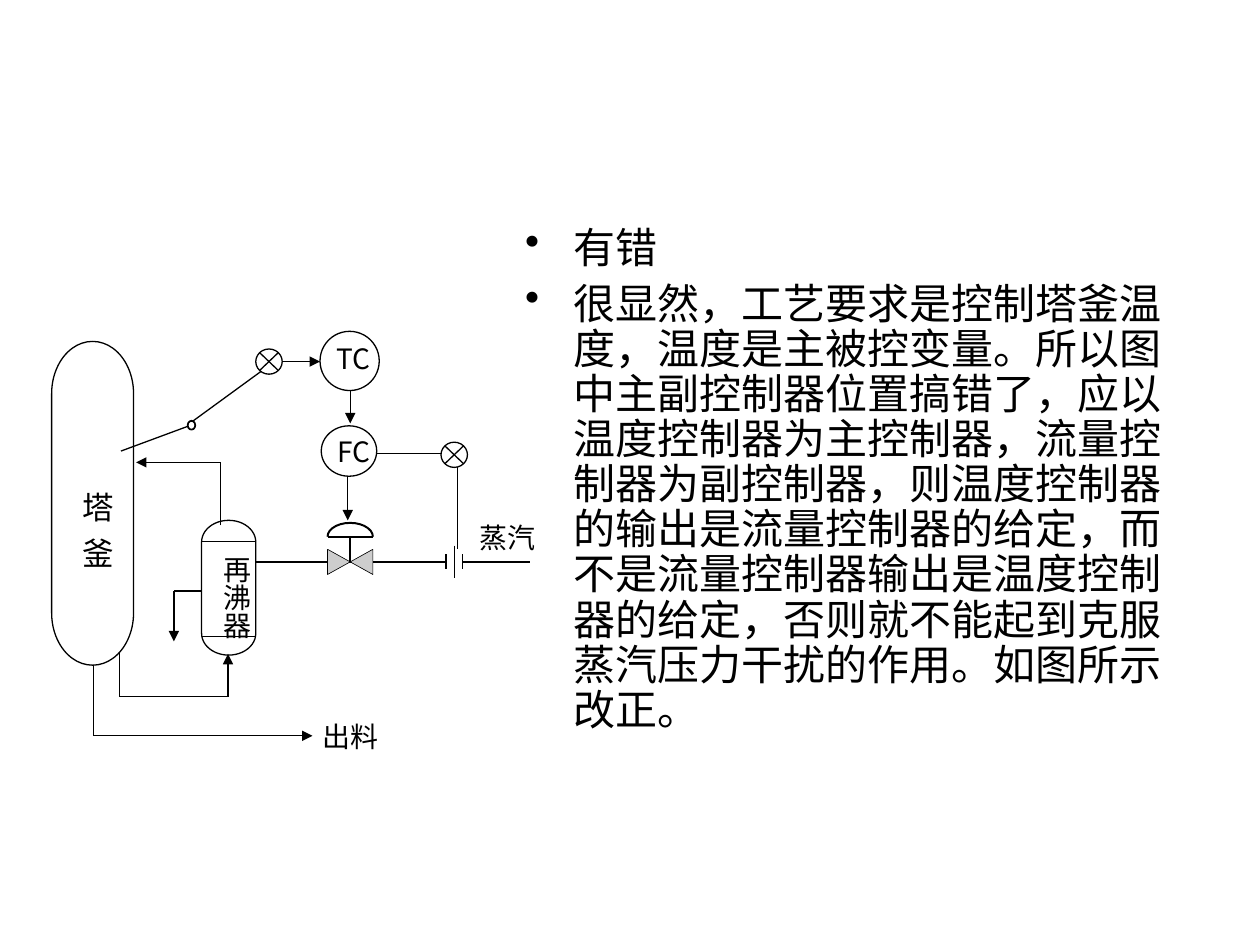
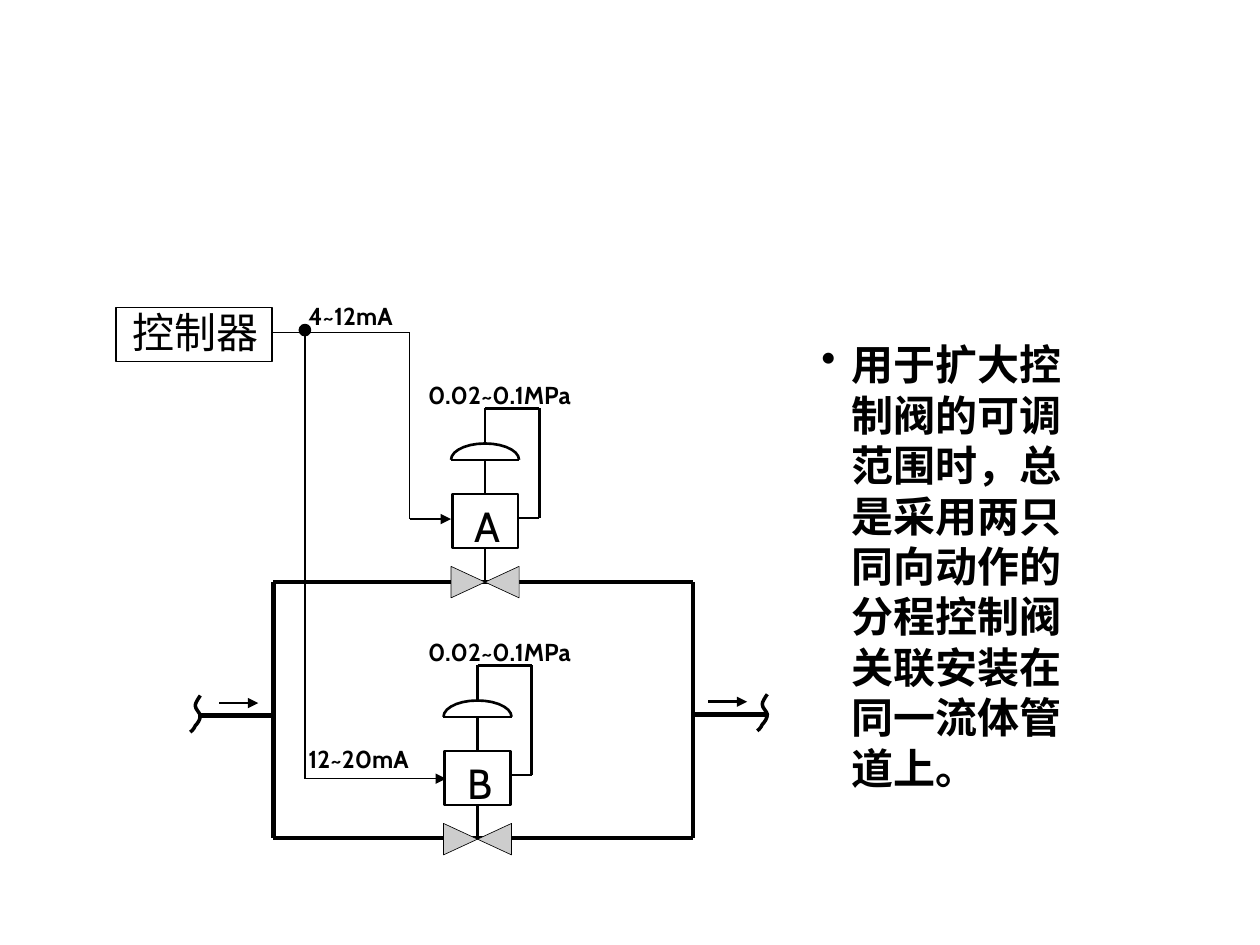
import math
from dataclasses import dataclass
from lxml import etree
from pptx import Presentation
from pptx import util as u
from pptx.dml.color import RGBColor
from pptx.enum import shapes, text
from pptx.oxml.ns import qn

BLACK = RGBColor(0, 0, 0)
WHITE = RGBColor(0xFF, 0xFF, 0xFF)
GRAY = RGBColor(0xCD, 0xCD, 0xCD)
CJK = "Noto Sans CJK SC"
SERIF = "Times New Roman"
CABIN = "Cabin"
THIN, MEDIUM, THICK = 0.74, 1.5, 2.5
KIND = shapes.MSO_SHAPE


def style(p, size, font, bold=False):
    """Set the font of a paragraph and return its default run properties."""
    p.font.size, p.font.name, p.font.bold = u.Pt(size), font, bold
    p.font.color.rgb = BLACK
    props = p._p.get_or_add_pPr().get_or_add_defRPr()
    etree.SubElement(props, qn("a:ea")).set("typeface", CJK)
    return props


def bullet_text(s, x, y, w, h, lines, font, pitch, before, indent, bold=False):
    """Add a box of bulleted paragraphs with a hanging indent."""
    tf = s.shapes.add_textbox(*map(u.Inches, (x, y, w, h))).text_frame
    tf.word_wrap = True
    for i, line in enumerate(lines):
        p = tf.add_paragraph() if i else tf.paragraphs[0]
        p.text = line
        p.line_spacing, p.space_before = u.Pt(pitch), u.Pt(before)
        props = style(p, 24, font, bold)
        pPr = p._p.get_or_add_pPr()
        pPr.set("marL", str(u.Inches(indent)))
        pPr.set("indent", str(-u.Inches(indent)))
        bullet = etree.Element(qn("a:buChar"))
        bullet.set("char", "•")
        props.addprevious(bullet)


@dataclass
class Diagram:
    """A group of parts placed relative to its top left corner."""
    group: object
    left: float
    top: float

    def at(self, x, y):
        """Return slide lengths for a point of the diagram."""
        return u.Inches(self.left + x), u.Inches(self.top + y)

    def paint(self, sp, fill, pt):
        """Give a shape its fill and black outline."""
        sp.shadow.inherit = False
        if fill is None:
            sp.fill.background()
        else:
            sp.fill.solid()
            sp.fill.fore_color.rgb = fill
        sp.line.color.rgb = BLACK
        sp.line.width = u.Pt(pt)

    def line(self, *points, pt=THIN, arrow=False):
        """Join points with straight connectors, with an arrow at the end."""
        for a, b in zip(points, points[1:]):
            c = self.group.shapes.add_connector(
                shapes.MSO_CONNECTOR.STRAIGHT, *self.at(*a), *self.at(*b))
            c.line.color.rgb = BLACK
            c.line.width = u.Pt(pt)
            etree.SubElement(c._element.spPr, qn("a:effectLst"))
        if arrow:
            etree.SubElement(c.line._get_or_add_ln(), qn("a:tailEnd")).set("type", "triangle")

    def shape(self, kind, x, y, w, h, fill=WHITE, pt=THIN):
        """Add a preset shape."""
        sp = self.group.shapes.add_shape(kind, *self.at(x, y), u.Inches(w), u.Inches(h))
        self.paint(sp, fill, pt)
        return sp

    def outline(self, points, fill=None, pt=THIN, close=False):
        """Add a freeform through points."""
        first, *rest = [self.at(*point) for point in points]
        fb = self.group.shapes.build_freeform(*first, scale=1.0)
        fb.add_line_segments(rest, close=close)
        self.paint(fb.convert_to_shape(), fill, pt)

    def label(self, words, x, y, w, h, size=16, font=SERIF, bold=False,
              vertical=False, spacing=0):
        """Add a text label, written downwards if vertical."""
        box = self.group.shapes.add_textbox(*self.at(x, y), u.Inches(w), u.Inches(h))
        tf = box.text_frame
        tf.word_wrap = True
        tf.auto_size = text.MSO_AUTO_SIZE.NONE
        p = tf.paragraphs[0]
        p.text = words
        props = style(p, size, font, bold)
        if spacing:
            props.set("spc", str(spacing))
        if vertical:
            tf._txBody.bodyPr.set("vert", "eaVert")
            tf.margin_left = tf.margin_right = u.Inches(0.05)
            tf.margin_top = tf.margin_bottom = u.Inches(0.1)

    def vessel(self, x, y, w, h):
        """Add an upright tank with round ends."""
        sp = self.shape(KIND.FLOWCHART_TERMINATOR, x + (w - h) / 2, y + (h - w) / 2, h, w)
        sp.rotation = 90

    def valve(self, x, y, w, h, dome, drop, pt):
        """Add a valve body hung at drop below the top of its domed actuator."""
        mid, plate, top = x + w / 2, y + dome, y + drop - h / 2
        self.outline([(x + w, top + h), (x + w, top), (x, top + h), (x, top)],
                     GRAY, 0.37, close=True)
        self.line((mid, plate), (mid, y + drop), pt=pt)
        self.line((x, plate), (x + w, plate), pt=pt)
        angles = [math.pi * i / 14 for i in range(15)]
        self.outline([(mid - w / 2 * math.cos(t), plate - dome * math.sin(t)) for t in angles], pt=pt)

    def pipe_break(self, x, y):
        """Add the wavy mark of a cut pipe."""
        knots = [(0.08, 0), (0.06, 0.03), (0.04, 0.06), (0.04, 0.08),
                 (0.04, 0.11), (0.08, 0.14), (0.08, 0.16),
                 (0.08, 0.19), (0.06, 0.22), (0.04, 0.24),
                 (0.03, 0.27), (0, 0.29), (0, 0.29)]
        points = [(x + knots[0][0], y)]
        for k in range(0, 12, 3):
            for t in (0.25, 0.5, 0.75, 1):
                weights = [math.comb(3, i) * t**i * (1 - t)**(3 - i) for i in range(4)]
                points.append(tuple(
                    start + sum(m * q[axis] for m, q in zip(weights, knots[k:k + 4]))
                    for axis, start in enumerate((x, y))))
        self.outline(points, pt=2)


def cascade_diagram(s, x, y):
    """Draw the tower, reboiler and cascade temperature and flow control."""
    d = Diagram(s.shapes.add_group_shape(), x, y)
    d.vessel(0.01, 0.11, 0.65, 2.57)
    d.vessel(1.2, 1.53, 0.43, 1.07)
    for level in (1.7, 2.45):
        d.line((1.2, level), (1.63, level))

    d.line((0.56, 0.98), (1.1, 0.78))
    d.line((1.12, 0.75), (1.71, 0.32))
    d.line((2.55, 1), (3.22, 1))
    d.line((3.23, 1.03), (3.23, 1.76))
    d.line((1.63, 1.86), (3.14, 1.86))
    d.line((3.27, 1.86), (3.81, 1.86))
    for tick, half in ((3.14, 0.06), (3.27, 0.06), (3.21, 0.13)):
        d.line((tick, 1.86 - half), (tick, 1.86 + half))

    for route in (
        [(1.7, 0.27), (2.14, 0.27)],
        [(2.38, 0.34), (2.38, 0.76)],
        [(2.36, 1.11), (2.36, 1.53)],
        [(0.34, 2.68), (0.34, 3.24), (2.08, 3.24)],
        [(0.55, 2.58), (0.55, 2.93), (1.41, 2.93), (1.41, 2.59)],
        [(1.2, 2.09), (0.98, 2.09), (0.98, 2.49)],
        [(1.35, 1.57), (1.35, 1.07), (0.68, 1.07)],
    ):
        d.line(*route, arrow=True)

    d.shape(KIND.OVAL, 1.09, 0.74, 0.06, 0.07, pt=1)
    for left, top in ((1.63, 0.17), (3.1, 0.91)):
        d.shape(KIND.FLOWCHART_SUMMING_JUNCTION, left, top, 0.21, 0.2)
    d.shape(KIND.OVAL, 2.14, 0.03, 0.47, 0.47)
    d.shape(KIND.OVAL, 2.15, 0.78, 0.44, 0.4)
    d.valve(2.2, 1.55, 0.36, 0.2, dome=0.11, drop=0.31, pt=1.13)

    d.label("TC", 2.17, 0.06, 0.54, 0.59, font=CJK)
    d.label("FC", 2.18, 0.8, 0.54, 0.59, font=CJK)
    d.label("蒸汽", 3.31, 1.48, 1, 0.56)
    d.label("出料", 2.06, 3.06, 0.97, 0.59)
    d.label("塔 釜", -0.07, 1.2, 0.64, 1, size=18, vertical=True, spacing=210)
    d.label("再沸器", 1.01, 1.71, 0.65, 1, vertical=True)


def positioned_valve(d, x, y, name):
    """Draw a valve with its positioner box and air feedback line."""
    d.valve(x, y + 0.28, 0.54, 0.25, dome=0.13, drop=1.1, pt=MEDIUM)
    d.shape(KIND.RECTANGLE, x + 0.01, y + 0.68, 0.52, 0.43, pt=MEDIUM)
    corners = [(0.27, 0.29), (0.27, 0), (0.7, 0), (0.7, 0.87), (0.52, 0.87)]
    d.line(*[(x + dx, y + dy) for dx, dy in corners], pt=MEDIUM)
    d.label(name, x + 0.09, y + 0.68, 0.54, 0.5, size=24, font=CABIN)


def split_range_diagram(s, x, y):
    """Draw one controller driving two parallel valves."""
    d = Diagram(s.shapes.add_group_shape(), x, y)
    left, right, top, bottom = 1.27, 4.6, 2.32, 4.35
    d.line((left, top), (right, top), (right, bottom), (left, bottom), (left, top), pt=THICK)
    d.line((0.67, 3.38), (left, 3.38), pt=THICK)
    d.line((right, 3.37), (5.18, 3.37), pt=THICK)
    for start, level in ((0.61, 3.22), (5.11, 3.21)):
        d.pipe_break(start, level)
    for start, level in ((0.84, 3.28), (4.72, 3.27)):
        d.line((start, level), (start + 0.31, level), pt=MEDIUM, arrow=True)

    for name, vx, vy in (("A", 2.68, 0.94), ("B", 2.62, 2.98)):
        positioned_valve(d, vx, vy, name)
        d.label("0.02~0.1MPa", 2.4, vy - 0.27, 1.9, 0.34, size=14, font=CABIN, bold=True)

    d.shape(KIND.RECTANGLE, 0.02, 0.14, 1.24, 0.43, fill=None)
    d.label("控制器", 0.05, 0.08, 1.32, 0.5, size=24, font=CABIN)
    d.line((1.26, 0.34), (2.35, 0.34), (2.35, 1.82), (2.68, 1.82), arrow=True)
    d.line((1.52, 0.34), (1.52, 3.88), pt=MEDIUM)
    d.line((1.52, 3.88), (2.64, 3.88), arrow=True)
    d.shape(KIND.FLOWCHART_CONNECTOR, 1.48, 0.28, 0.08, 0.08, fill=BLACK, pt=MEDIUM)
    for words, level in (("4~12mA", 0.04), ("12~20mA", 3.56)):
        d.label(words, 1.45, level, 1.44, 0.34, size=14, font=CABIN, bold=True)


def main():
    """Build both slides and save them."""
    prs = Presentation()
    prs.slide_width, prs.slide_height = u.Inches(10), u.Inches(7.5)
    cascade, split_range = [prs.slides.add_slide(prs.slide_layouts[6]) for _ in range(2)]

    bullet_text(cascade, 4.07, 1.75, 5.43, 4.95, [
        "有错",
        "很显然，工艺要求是控制塔釜温度，温度是主被控变量。所以图中主副控制器位置搞错了，"
        "应以温度控制器为主控制器，流量控制器为副控制器，则温度控制器的输出是流量控制器的给定，"
        "而不是流量控制器输出是温度控制器的给定，否则就不能起到克服蒸汽压力干扰的作用。如图所示改正。",
    ], "Arial", pitch=25.8, before=6, indent=0.38)
    cascade_diagram(cascade, 0.4, 2.6)

    bullet_text(split_range, 6.42, 2.64, 2.17, 3.7, [
        "用于扩大控制阀的可调范围时，总是采用两只同向动作的分程控制阀关联安装在同一流体管道上。",
    ], CJK, pitch=28.8, before=15, indent=0.24, bold=True)
    split_range_diagram(split_range, 0.9, 2.3)
    prs.save("out.pptx")


main()
